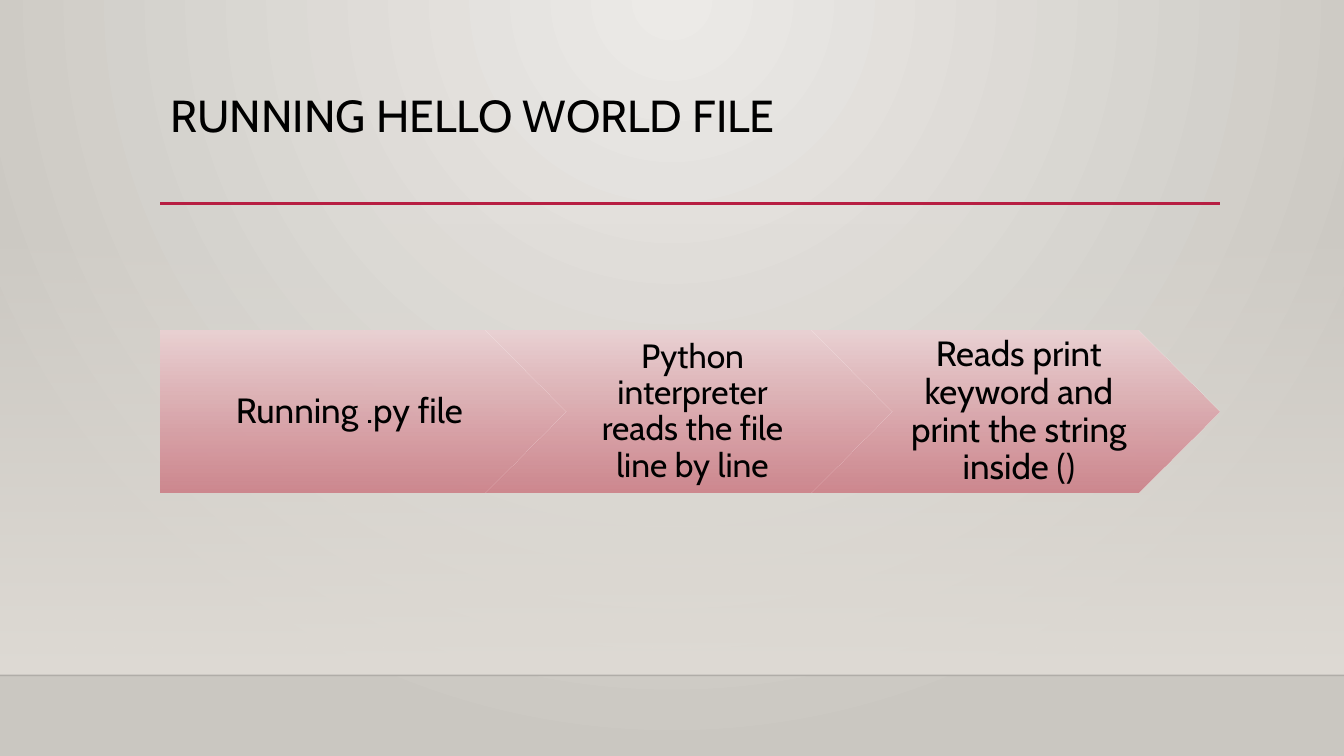
from dataclasses import dataclass

from lxml.etree import SubElement
from pptx import Presentation
from pptx.dml.color import RGBColor
from pptx.enum.shapes import MSO_CONNECTOR, MSO_SHAPE
from pptx.enum.text import MSO_ANCHOR, PP_ALIGN
from pptx.oxml.ns import qn
from pptx.util import Inches, Pt


@dataclass(frozen=True)
class Theme:
    font: str = "Cabin"
    text: str = "000000"
    accent: str = "B71E42"
    backdrop: tuple = (("ECEAE7", 100), ("CAC7C1", 100))
    wall: tuple = (("DFDBD5", 0), ("DFDBD5", 100))
    step: tuple = (("EAD1D3", 100), ("CD828A", 92))
    title_size: int = 32


def set_values(target, values):
    for name, value in values.items():
        setattr(target, name, value)


def add_alpha(color_element, percent):
    SubElement(color_element, qn("a:alpha"), val=str(percent * 1000))


class SlideBuilder:
    def __init__(self, slide, theme):
        self.slide = slide
        self.theme = theme

    def gradient(self, fill, element, stops):
        """Fill from top to bottom with (colour, opacity percent) stops."""
        fill.gradient()
        fill.gradient_angle = 270
        for stop, (color, _) in zip(fill.gradient_stops, stops):
            stop.color.rgb = RGBColor.from_string(color)
        gradient = next(element.iter(qn("a:gradFill")))
        for color_element, (_, opacity) in zip(gradient.iter(qn("a:srgbClr")), stops):
            if opacity < 100:
                add_alpha(color_element, opacity)
        return gradient

    def background(self):
        """Radial gradient centred on the top edge."""
        gradient = self.gradient(
            self.slide.background.fill, self.slide.element, self.theme.backdrop
        )
        gradient.remove(gradient.find(qn("a:lin")))
        circle = SubElement(gradient, qn("a:path"), path="circle")
        SubElement(circle, qn("a:fillToRect"), l="43000", t="0", r="43000", b="100000")

    def shape(self, preset, box, stops):
        shape = self.slide.shapes.add_shape(preset, *map(Inches, box))
        shape.shadow.inherit = False
        shape.line.fill.background()
        self.gradient(shape.fill, shape.element, stops)
        return shape

    def rule(self, left, right, top, color, width, opacity=100):
        line = self.slide.shapes.add_connector(
            MSO_CONNECTOR.STRAIGHT, *map(Inches, (left, top, right, top))
        )
        line.line.width = Pt(width)
        line.line.color.rgb = RGBColor.from_string(color)
        if opacity < 100:
            add_alpha(next(line.element.iter(qn("a:srgbClr"))), opacity)
        SubElement(line.element.spPr, qn("a:effectLst"))

    def set_text(self, shape, text, size, frame_format, alignment):
        frame = shape.text_frame
        frame.text = text
        set_values(frame, {"word_wrap": True, **frame_format})
        paragraph = frame.paragraphs[0]
        set_values(paragraph, {"alignment": alignment, "line_spacing": 0.9})
        font = paragraph.runs[0].font
        set_values(font, {"name": self.theme.font, "size": Pt(size)})
        font.color.rgb = RGBColor.from_string(self.theme.text)

    def title(self, text, box):
        title = self.slide.shapes.title
        set_values(title, dict(zip(("left", "top", "width", "height"), map(Inches, box))))
        frame_format = {"vertical_anchor": MSO_ANCHOR.TOP}
        self.set_text(title, text, self.theme.title_size, frame_format, PP_ALIGN.LEFT)

    def step(self, preset, box, text, size, left_inset):
        shape = self.shape(preset, box, self.theme.step)
        frame_format = {
            "vertical_anchor": MSO_ANCHOR.MIDDLE,
            "margin_left": Inches(left_inset),
            "margin_right": Inches(0.04),
            "margin_top": Inches(0.07),
            "margin_bottom": Inches(0.07),
        }
        self.set_text(shape, text, size, frame_format, PP_ALIGN.CENTER)


def main():
    presentation = Presentation()
    set_values(presentation, {"slide_width": Inches(13.33), "slide_height": Inches(7.5)})
    theme = Theme()
    slide = presentation.slides.add_slide(presentation.slide_layouts[5])
    builder = SlideBuilder(slide, theme)

    builder.background()
    builder.shape(MSO_SHAPE.RECTANGLE, (0, 2.21, 13.33, 4.49), theme.wall)
    builder.rule(0, 13.33, 6.7, theme.text, 1, opacity=20)

    left = 1.59
    builder.rule(left, 12.1, 2.02, theme.accent, 2.5)
    builder.title("RUNNING HELLO WORLD FILE", (left, 0.88, 10.5, 1.15))

    steps = (
        (MSO_SHAPE.PENTAGON, "Running .py file", 25, 0.15),
        (MSO_SHAPE.CHEVRON, "Python interpreter reads the file line by line", 24, 0.1),
        (MSO_SHAPE.CHEVRON, "Reads print keyword and print the string inside ()", 25, 0.11),
    )
    width, height, pitch = 4.04, 1.61, 3.23
    for index, (preset, text, size, left_inset) in enumerate(steps):
        box = (left + index * pitch, 3.28, width, height)
        builder.step(preset, box, text, size, left_inset)

    presentation.save("out.pptx")


if __name__ == "__main__":
    main()
